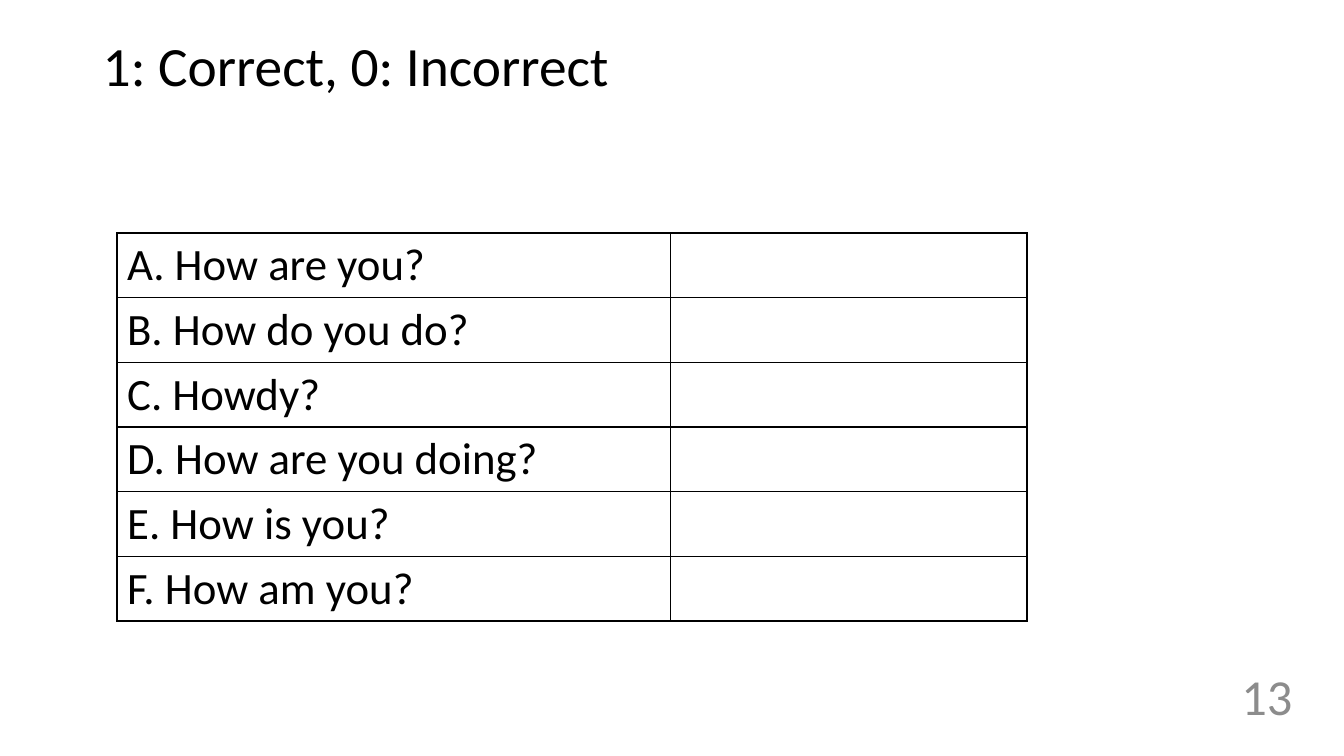
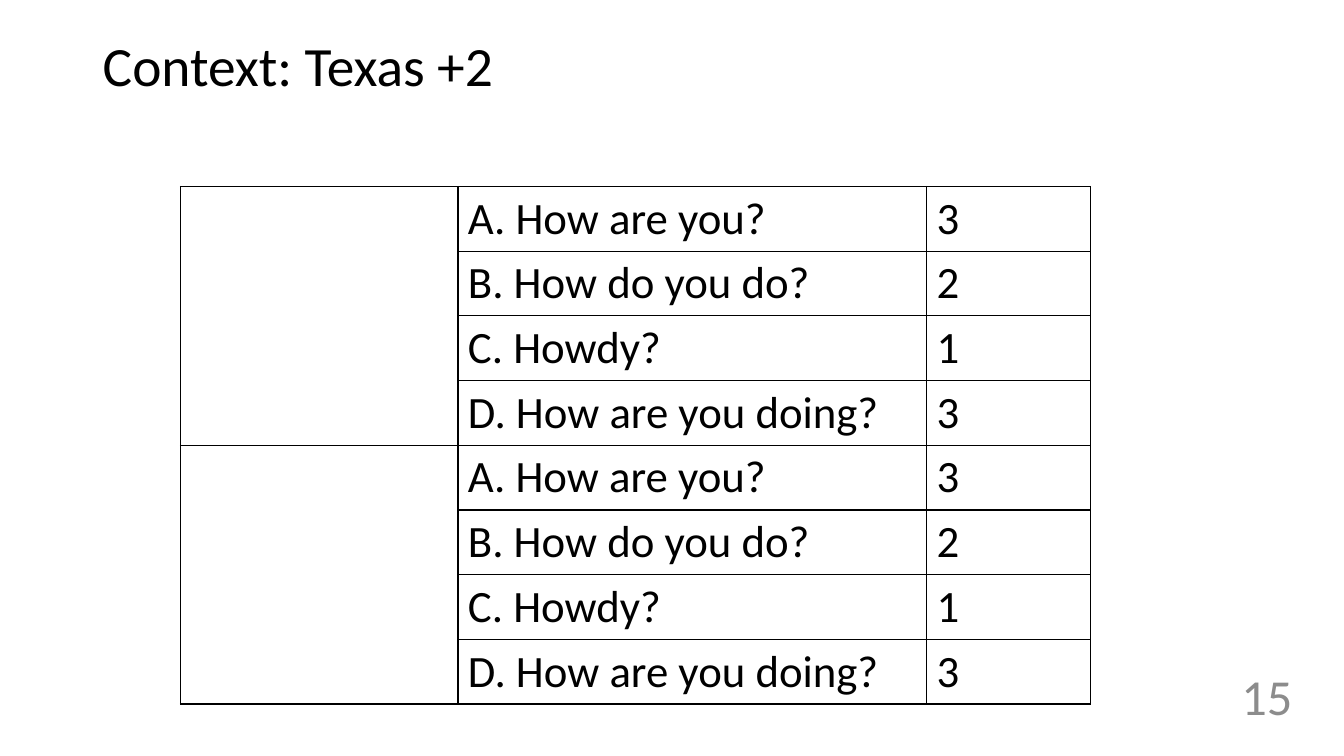
import pptx
import pptx.dml.color
import pptx.enum.text
import pptx.oxml
import pptx.oxml.ns
import pptx.util

Cm = pptx.util.Cm
Pt = pptx.util.Pt
ALIGN = pptx.enum.text.PP_ALIGN

# Shared style
FONT = "Calibri"
COLORS = {"text": "000000", "border": "000000", "number": "8C8C8C"}
TABLE_SIZE = 32
ROW_HEIGHT = 1.63
GREETINGS = ["A. How are you?", "B. How do you do?", "C. Howdy?", "D. How are you doing?"]
SCORES = ["3", "2", "1", "3"]


def style_paragraph(paragraph, size, color):
    for run in paragraph.runs:
        run.font.name = FONT
        run.font.size = Pt(size)
        run.font.color.rgb = pptx.dml.color.RGBColor.from_string(COLORS[color])


def add_text(slide, text, box, size, color, align=ALIGN.LEFT, line_spacing=1.0):
    shape = slide.shapes.add_textbox(*(Cm(length) for length in box))
    text_frame = shape.text_frame
    text_frame.word_wrap = True
    text_frame.vertical_anchor = pptx.enum.text.MSO_ANCHOR.MIDDLE
    text_frame.text = text
    paragraph = text_frame.paragraphs[0]
    paragraph.alignment = align
    paragraph.line_spacing = line_spacing
    style_paragraph(paragraph, size, color)


def add_slide(presentation, title, number):
    """Add a blank slide with the common title and slide number."""
    slide = presentation.slides.add_slide(presentation.slide_layouts[6])
    add_text(slide, title, (2.34, 1.02, 29.21, 1.4), 39.6, "text", line_spacing=0.9)
    add_text(slide, number, (29.64, 16.43, 3.18, 2.18), 36, "number", ALIGN.RIGHT)
    return slide


def set_borders(cell):
    properties = cell._tc.get_or_add_tcPr()
    for side in ("lnL", "lnR", "lnT", "lnB"):
        properties.append(pptx.oxml.parse_xml(
            f'<a:{side} {pptx.oxml.ns.nsdecls("a")} w="{Pt(1)}"><a:solidFill>'
            f'<a:srgbClr val="{COLORS["border"]}"/></a:solidFill></a:{side}>'))


def add_grid(slide, left, top, widths, rows):
    """Add a plain ruled table; widths and position are in centimetres."""
    frame = slide.shapes.add_table(len(rows), len(widths), Cm(left), Cm(top),
                                   Cm(sum(widths)), Cm(ROW_HEIGHT * len(rows)))
    table = frame.table
    table.first_row = False
    table.horz_banding = False
    for column, width in zip(table.columns, widths):
        column.width = Cm(width)
    for row, values in zip(table.rows, rows):
        row.height = Cm(ROW_HEIGHT)
        for cell, value in zip(row.cells, values):
            set_borders(cell)
            cell.fill.background()
            cell.text_frame.text = value
            style_paragraph(cell.text_frame.paragraphs[0], TABLE_SIZE, "text")
    return table


def main():
    presentation = pptx.Presentation()
    presentation.slide_width = Cm(33.87)
    presentation.slide_height = Cm(19.05)

    # Correct or incorrect: empty answer column
    slide = add_slide(presentation, "1: Correct, 0: Incorrect", "13")
    questions = GREETINGS + ["E. How is you?", "F. How am you?"]
    add_grid(slide, 2.95, 5.87, (13.94, 8.99), [(question, "") for question in questions])

    # Scores in context: two groups of the same greetings
    slide = add_slide(presentation, "Context: Texas +2", "15")
    group = [("", greeting, score) for greeting, score in zip(GREETINGS, SCORES)]
    table = add_grid(slide, 4.55, 4.7, (6.99, 11.81, 4.14), group * 2)
    for first in (0, len(group)):
        table.cell(first, 0).merge(table.cell(first + len(group) - 1, 0))

    presentation.save("out.pptx")


if __name__ == "__main__":
    main()
